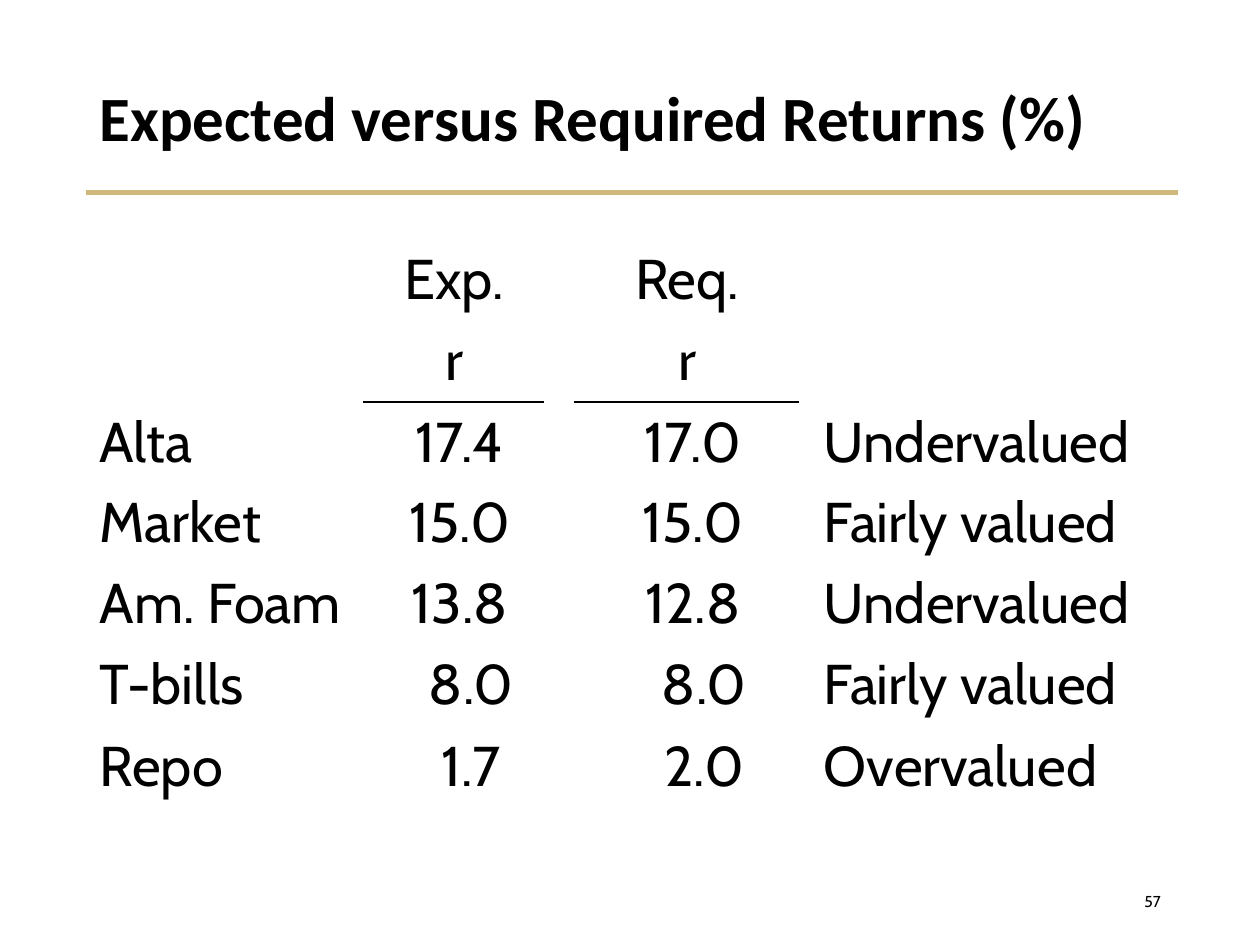
from dataclasses import dataclass

from lxml.etree import SubElement
from pptx import Presentation
from pptx.dml.color import RGBColor
from pptx.enum.shapes import MSO_CONNECTOR
from pptx.enum.text import MSO_ANCHOR, PP_ALIGN
from pptx.oxml import parse_xml
from pptx.oxml.ns import nsdecls, qn
from pptx.util import Inches, Pt

COLORS = {"text": "000000", "gold": "CFB87C"}
COL_WIDTHS = [2.2, 1.43, 0.23, 1.79, 2.98]
ROW_HEIGHTS = [0.71, 0.65, 0.64, 0.64, 0.64, 0.65, 0.64]
NAME, EXP, REQ, VERDICT = 0, 1, 3, 4
INSET = 0.1
INDENT = 0.09


@dataclass
class Security:
    name: str
    expected: float
    required: float
    verdict: str


SECURITIES = [
    Security("Alta", 17.4, 17.0, "Undervalued"),
    Security("Market", 15.0, 15.0, "Fairly valued"),
    Security("Am. Foam", 13.8, 12.8, "Undervalued"),
    Security("T-bills", 8.0, 8.0, "Fairly valued"),
    Security("Repo", 1.7, 2.0, "Overvalued"),
]


def add_text(tf, text: str, font: str, size: float, align, bold: bool = False) -> None:
    p = tf.paragraphs[0]
    p.alignment = align
    r = p.add_run()
    r.text = text
    r.font.name = font
    r.font.size = Pt(size)
    r.font.bold = bold
    r.font.color.rgb = RGBColor.from_string(COLORS["text"])


def fill_cell(cell, text: str, align=PP_ALIGN.CENTER, indent: float = 0) -> None:
    cell.margin_left = Inches(INSET + indent)
    add_text(cell.text_frame, text, "Cabin", 32, align)


def add_border(cell, side: str) -> None:
    ln = parse_xml(
        f'<a:{side} {nsdecls("a")} w="12700"><a:solidFill>'
        f'<a:srgbClr val="{COLORS["text"]}"/></a:solidFill></a:{side}>'
    )
    cell._tc.get_or_add_tcPr().insert(0, ln)


def add_title(s) -> None:
    title = s.shapes.title
    title.left, title.top = Inches(0.69), Inches(0.4)
    title.width, title.height = Inches(8.62), Inches(1.13)
    tf = title.text_frame
    tf.vertical_anchor = MSO_ANCHOR.MIDDLE
    tf.paragraphs[0].line_spacing = 0.9
    add_text(tf, "Expected versus Required Returns (%)", "Calibri", 36, PP_ALIGN.LEFT, True)


def add_rule(s) -> None:
    rule = s.shapes.add_connector(
        MSO_CONNECTOR.STRAIGHT, Inches(0.68), Inches(1.53), Inches(9.35), Inches(1.53)
    )
    rule.line.color.rgb = RGBColor.from_string(COLORS["gold"])
    rule.line.width = Pt(3)
    SubElement(rule._element.spPr, qn("a:effectLst"))


def add_returns_table(s) -> None:
    table = s.shapes.add_table(
        len(ROW_HEIGHTS), len(COL_WIDTHS),
        Inches(0.69), Inches(1.83), Inches(sum(COL_WIDTHS)), Inches(sum(ROW_HEIGHTS)),
    ).table
    table.first_row = False
    table.horz_banding = False
    for col, width in zip(table.columns, COL_WIDTHS):
        col.width = Inches(width)
    for row, height in zip(table.rows, ROW_HEIGHTS):
        row.height = Inches(height)
    for cell in table.iter_cells():
        cell.fill.background()

    for col, label in ((EXP, "Exp."), (REQ, "Req.")):
        fill_cell(table.cell(0, col), label)
        table.cell(0, col).vertical_anchor = MSO_ANCHOR.BOTTOM
        fill_cell(table.cell(1, col), "r")
        add_border(table.cell(1, col), "lnB")
        add_border(table.cell(2, col), "lnT")

    for row, security in enumerate(SECURITIES, start=2):
        fill_cell(table.cell(row, NAME), security.name, PP_ALIGN.LEFT)
        for col, value in ((EXP, security.expected), (REQ, security.required)):
            indent = INDENT if value >= 10 else 3 * INDENT
            fill_cell(table.cell(row, col), f"{value:.1f}", indent=indent)
        fill_cell(table.cell(row, VERDICT), security.verdict, PP_ALIGN.LEFT, INDENT)


def add_page_number(s) -> None:
    sp = s.shapes.add_textbox(Inches(7.06), Inches(6.95), Inches(2.25), Inches(0.4))
    tf = sp.text_frame
    tf.word_wrap = True
    tf.vertical_anchor = MSO_ANCHOR.MIDDLE
    add_text(tf, "57", "Cabin", 9, PP_ALIGN.RIGHT)


def main() -> None:
    prs = Presentation()
    prs.slide_width, prs.slide_height = Inches(10), Inches(7.5)
    s = prs.slides.add_slide(prs.slide_layouts[5])
    add_rule(s)
    add_title(s)
    add_page_number(s)
    add_returns_table(s)
    prs.save("out.pptx")


if __name__ == "__main__":
    main()
